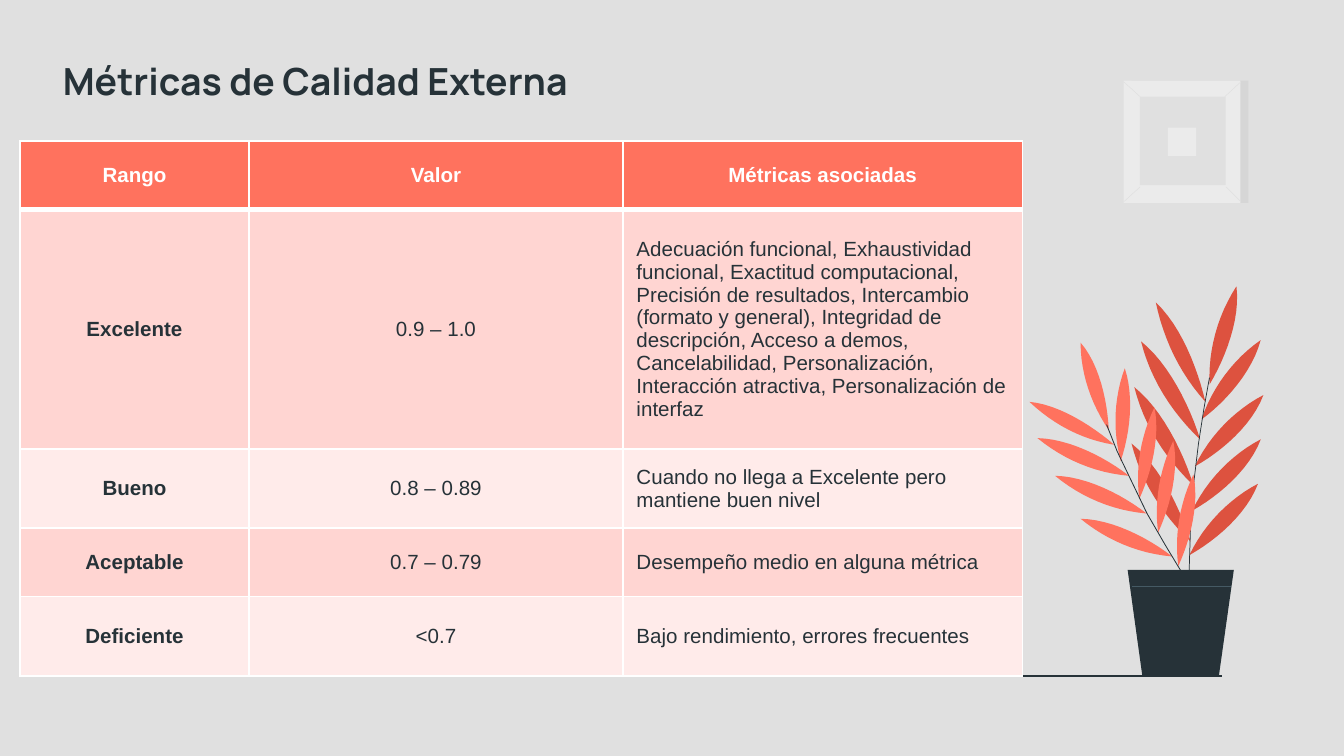
"""Build the slide on external quality metrics: a rating table beside a potted plant."""
import pptx
import pptx.dml.color
import pptx.enum.shapes
import pptx.enum.text
import pptx.oxml
import pptx.oxml.ns
import pptx.util

Pt = pptx.util.Pt
ALIGN = pptx.enum.text.PP_ALIGN
COLORS = {
    "wall": "E0E0E0", "frame": "EBEBEB", "shade": "D6D6D6", "ink": "263238",
    "rim": "455A64", "coral": "FF725E", "red": "DD523F", "white": "FFFFFF",
    "band_dark": "FFD5D2", "band_light": "FFEBEA",
}

TITLE = "Métricas de Calidad Externa"
ROWS = [
    ("Rango", "Valor", "Métricas asociadas"),
    ("Excelente", "0.9 – 1.0",
     "Adecuación funcional, Exhaustividad funcional, Exactitud computacional, "
     "Precisión de resultados, Intercambio (formato y general), Integridad de "
     "descripción, Acceso a demos, Cancelabilidad, Personalización, "
     "Interacción atractiva, Personalización de interfaz"),
    ("Bueno", "0.8 – 0.89", "Cuando no llega a Excelente pero mantiene buen nivel"),
    ("Aceptable", "0.7 – 0.79", "Desempeño medio en alguna métrica"),
    ("Deficiente", "<0.7", "Bajo rendimiento, errores frecuentes"),
]
COL_WIDTHS = (122.6, 200.4, 214)
ROW_HEIGHTS = (36.7, 128.2, 42.5, 36.7, 42.5)

FRAME = [
    ("shade", 606.2, 43.2, 62.6, 65.5),
    ("frame", 601.9, 43.2, 62.6, 65.5),
    ("wall", 610.6, 51.8, 46.1, 47.5),
    ("frame", 625.7, 68.4, 15.1, 15.1),
]
MITRES = [
    [(601.9, 108), (610.6, 100.1)], [(656.6, 100.1), (664.5, 108)],
    [(664.5, 43.9), (655.9, 51.8)], [(601.9, 43.9), (610.6, 51.8)],
]
RED_LEAVES = [
    ([(673.9, 259.2), (675.4, 235.4), (676.8, 211.7)],
     [(-5.8, 15.8), (-22.3, 30.2), (-36.7, 38.2), (-28.8, 21.6), (-15.1, 7.9)]),
    ([(675.4, 182.2)],
     [(-4.3, 16.6), (-18.7, 33.1), (-31.7, 42.5), (-25.9, 25.2), (-14.4, 10.1)]),
    ([(662.4, 153.4)],
     [(2.2, 17.3), (-5.8, 38.2), (-14.4, 52.6), (-15.1, 33.8), (-10.1, 15.8)]),
    ([(619.2, 162)],
     [(13.7, 13), (22.3, 35.3), (26.6, 53.3), (13, 38.2), (4.3, 20.2)]),
    ([(611.3, 182.9), (607.7, 207.4), (606.2, 237.6)],
     [(14.4, 11.5), (25.9, 33.8), (31.7, 52.6), (16.6, 38.2), (5, 20.2)]),
]
CORAL_LEAVES = [
    ([(639.4, 254.2), (628.6, 236.2), (618.5, 218.2)],
     [(3.2, 15.5), (-1.6, 34.9), (-8.1, 49), (-10.4, 32.4), (-7.2, 15.1)]),
    ([(602.6, 197.3)],
     [(5, 15.1), (2.9, 34.6), (-2.2, 49.7), (-6.5, 33.1), (-5.8, 15.8)]),
    ([(555.8, 234.7), (565.2, 254.9), (578.9, 277.9)],
     [(16.9, 0.4), (36, 10.1), (49, 20.2), (31, 18.7), (14, 11.5)]),
    ([(551.5, 215.3)],
     [(15.8, 1.4), (33.8, 13), (45.4, 23), (28.1, 20.2), (13, 12.2)]),
    ([(578.9, 183.6)],
     [(10.1, 11.5), (14.4, 31.7), (15.1, 46.8), (5.8, 33.1), (0, 16.6)]),
]
RED_STEM = [(647.8, 202.3), (647, 206.6), (644.8, 218.9), (641.9, 237.6),
            (639.2, 260), (637.6, 283), (637, 301.7), (636.8, 317.5)]
CORAL_STEM = [(592.6, 227.5), (598.3, 241.9), (614.2, 275), (624.2, 292.3),
              (632.9, 306.7), (641.2, 319)]
POT = [(661, 305.3), (653, 362.2), (612, 362.2), (604.1, 305.3)]
POT_RIM = [(606.2, 313.7), (659.5, 313.7)]


def rgb(name):
    return pptx.dml.color.RGBColor.from_string(COLORS[name])


def paint(sp, color):
    sp.shadow.inherit = False
    sp.fill.solid()
    sp.fill.fore_color.rgb = rgb(color)
    sp.line.fill.background()


def write(tf, text, size=11, font="Arial", color="ink", bold=False, align=ALIGN.LEFT):
    p = tf.paragraphs[0]
    p.alignment = align
    r = p.add_run()
    r.text = text
    r.font.size = Pt(size)
    r.font.name = font
    r.font.bold = bold
    r.font.color.rgb = rgb(color)


def outline(shapes, points, color):
    units = [(round(x * 100), round(y * 100)) for x, y in points]
    fb = shapes.build_freeform(*units[0], scale=Pt(1) / 100)
    fb.add_line_segments(units[1:], close=True)
    paint(fb.convert_to_shape(), color)


def ribbon(shapes, points, color, dx=0, dy=0):
    outline(shapes, points + [(x + dx, y + dy) for x, y in reversed(points)], color)


def curve(a, b, c, d, steps=12):
    for i in range(steps):
        t = i / steps
        u = 1 - t
        yield tuple(u**3 * a[k] + 3 * u * u * t * b[k] + 3 * u * t * t * c[k] + t**3 * d[k]
                    for k in (0, 1))


def add_leaves(shapes, groups, color):
    for tips, offsets in groups:
        for x, y in tips:
            tip = (x, y)
            a, b, base, c, d = [(x + dx, y + dy) for dx, dy in offsets]
            outline(shapes, [*curve(tip, a, b, base), *curve(base, c, d, tip)], color)


def add_plant(shapes):
    add_leaves(shapes, RED_LEAVES, "red")
    ribbon(shapes, RED_STEM, "ink", dx=0.4)
    add_leaves(shapes, CORAL_LEAVES, "coral")
    ribbon(shapes, CORAL_STEM, "ink", dx=0.5)
    outline(shapes, POT, "ink")
    ribbon(shapes, POT_RIM, "rim", dy=0.4)


def set_borders(cell, bottom):
    tc_pr = cell._tc.get_or_add_tcPr()
    for side, width in (("L", 1), ("R", 1), ("T", 1), ("B", bottom)):
        tc_pr.append(pptx.oxml.parse_xml(
            f'<a:ln{side} {pptx.oxml.ns.nsdecls("a")} w="{Pt(width)}"><a:solidFill>'
            f'<a:srgbClr val="{COLORS["white"]}"/></a:solidFill></a:ln{side}>'))


def add_metrics_table(shapes):
    table = shapes.add_table(len(ROWS), len(COL_WIDTHS), Pt(10.8), Pt(75.6),
                             Pt(sum(COL_WIDTHS)), Pt(sum(ROW_HEIGHTS))).table
    table.horz_banding = False
    for column, width in zip(table.columns, COL_WIDTHS):
        column.width = Pt(width)
    for i, (texts, height) in enumerate(zip(ROWS, ROW_HEIGHTS)):
        table.rows[i].height = Pt(height)
        header = i == 0
        fill = "coral" if header else ("band_light", "band_dark")[i % 2]
        for j, text in enumerate(texts):
            cell = table.cell(i, j)
            set_borders(cell, 3 if header else 1)
            cell.fill.solid()
            cell.fill.fore_color.rgb = rgb(fill)
            cell.vertical_anchor = pptx.enum.text.MSO_ANCHOR.MIDDLE
            write(cell.text_frame, text, color="white" if header else "ink",
                  bold=header or j == 0,
                  align=ALIGN.CENTER if header or j < 2 else ALIGN.LEFT)


def main():
    prs = pptx.Presentation()
    prs.slide_width, prs.slide_height = Pt(720), Pt(405)
    s = prs.slides.add_slide(prs.slide_layouts[6])
    s.background.fill.solid()
    s.background.fill.fore_color.rgb = rgb("wall")

    floor = s.shapes.add_connector(pptx.enum.shapes.MSO_CONNECTOR.STRAIGHT,
                                   Pt(65.5), Pt(362.2), Pt(654.5), Pt(362.2))
    floor.line.color.rgb = rgb("ink")
    floor.line.width = Pt(0.75)
    floor._element.spPr.append(
        pptx.oxml.parse_xml(f'<a:effectLst {pptx.oxml.ns.nsdecls("a")}/>'))

    for color, *box in FRAME:
        paint(s.shapes.add_shape(pptx.enum.shapes.MSO_SHAPE.RECTANGLE, *map(Pt, box)), color)
    for mitre in MITRES:
        ribbon(s.shapes, mitre, "wall", dx=0.4)
    add_plant(s.shapes)

    tf = s.shapes.add_textbox(Pt(26.6), Pt(23.8), Pt(607), Pt(48.2)).text_frame
    tf.word_wrap = True
    tf.margin_left = tf.margin_right = tf.margin_top = tf.margin_bottom = Pt(7.2)
    write(tf, TITLE, size=20, font="Manrope", bold=True)
    add_metrics_table(s.shapes)
    prs.save("out.pptx")


if __name__ == "__main__":
    main()
